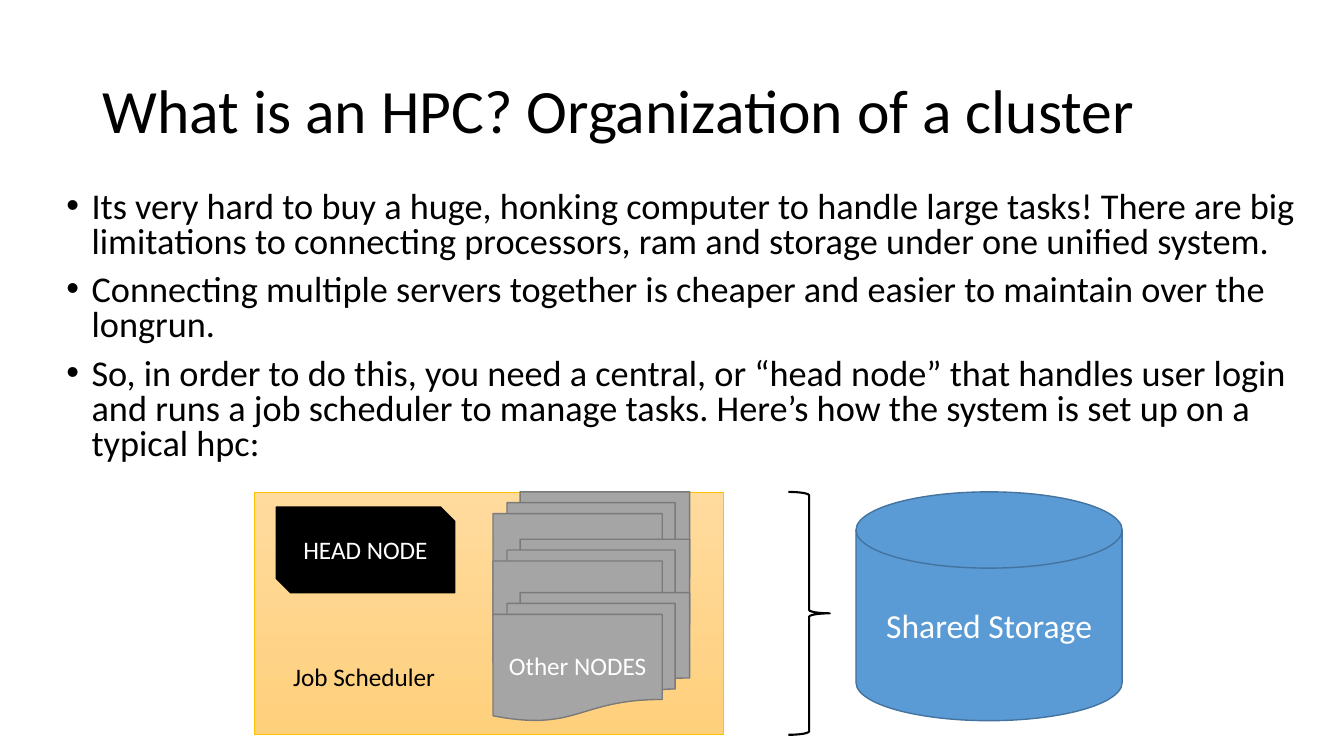
from dataclasses import dataclass

from lxml.etree import SubElement
from pptx import Presentation
from pptx.dml.color import RGBColor
from pptx.enum.shapes import MSO_SHAPE as Kind
from pptx.enum.text import MSO_ANCHOR as Anchor, PP_ALIGN as Align
from pptx.oxml.ns import qn
from pptx.shapes.autoshape import Shape
from pptx.slide import Slide
from pptx.text.text import TextFrame, _Paragraph as Para
from pptx.util import Emu, Pt

SCALE = 9144  # EMU per px, 100 px to the inch


@dataclass(frozen=True)
class Theme:
    font: str = "Calibri"
    black: str = "000000"
    white: str = "FFFFFF"
    gold: str = "FFC000"
    light: str = "FFDB9E"
    deep: str = "FFD07C"
    grey: str = "A5A5A5"
    edge: str = "7A7A7A"
    blue: str = "5B9BD5"
    navy: str = "43739E"
    title: float = 44
    body: float = 25.9
    large: float = 24
    label: float = 18


THEME = Theme()


@dataclass(frozen=True)
class Box:
    left: int
    top: int
    width: int
    height: int

    def emu(self) -> list[Emu]:
        return [px(n) for n in (self.left, self.top, self.width, self.height)]


@dataclass(frozen=True)
class Part:
    kind: Kind
    box: Box
    fill: tuple[str, ...]  # none, one colour, or two for a gradient
    line: str
    weight: float = 1
    text: str = ""
    size: float = THEME.label


def px(count: int) -> Emu:
    return Emu(count * SCALE)


def tint(code: str) -> RGBColor:
    return RGBColor.from_string(code)


def add_run(para: Para, text: str, size: float, color: str) -> None:
    run = para.add_run()
    run.text = text
    run.font.name = THEME.font
    run.font.size = Pt(size)
    run.font.color.rgb = tint(color)


def add_text(slide: Slide, box: Box, wrap: bool = True) -> TextFrame:
    frame = slide.shapes.add_textbox(*box.emu()).text_frame
    frame.word_wrap = wrap
    return frame


def add_bullet(para: Para) -> None:
    props = para._p.get_or_add_pPr()
    props.set("marL", str(px(25)))
    props.set("indent", str(px(-25)))
    SubElement(props, qn("a:buFont")).set("typeface", "Arial")
    SubElement(props, qn("a:buChar")).set("char", "•")


def paint(shape: Shape, fill: tuple[str, ...]) -> None:
    if not fill:
        shape.fill.background()
    elif len(fill) == 1:
        shape.fill.solid()
        shape.fill.fore_color.rgb = tint(fill[0])
    else:
        shape.fill.gradient()
        shape.fill.gradient_angle = 270
        for stop, code in zip(shape.fill.gradient_stops, fill):
            stop.color.rgb = tint(code)


def add_part(slide: Slide, part: Part) -> None:
    shape = slide.shapes.add_shape(part.kind, *part.box.emu())
    shape.shadow.inherit = False
    paint(shape, part.fill)
    shape.line.color.rgb = tint(part.line)
    shape.line.width = Pt(part.weight)
    if part.text:
        frame = shape.text_frame
        frame.word_wrap = True
        frame.vertical_anchor = Anchor.MIDDLE
        para = frame.paragraphs[0]
        para.alignment = Align.CENTER
        add_run(para, part.text, part.size, THEME.white)


POINTS = (
    "Its very hard to buy a huge, honking computer to handle large tasks! "
    "There are big limitations to connecting processors, ram and storage "
    "under one unified system.",
    "Connecting multiple servers together is cheaper and easier to maintain "
    "over the longrun.",
    "So, in order to do this, you need a central, or “head node” that handles "
    "user login and runs a job scheduler to manage tasks. Here’s how the "
    "system is set up on a typical hpc:",
)

NODES = ((488, ""), (535, ""), (588, "Other NODES"))

PARTS = (
    Part(Kind.RECTANGLE, Box(252, 488, 465, 241),
         (THEME.light, THEME.deep), THEME.gold, 0.5),
    Part(Kind.SNIP_2_DIAG_RECTANGLE, Box(274, 503, 177, 85),
         (THEME.black,), THEME.black, text="HEAD NODE"),
    *(Part(Kind.FLOWCHART_MULTIDOCUMENT, Box(489, top, 195, 127),
           (THEME.grey,), THEME.edge, text=text) for top, text in NODES),
    Part(Kind.FLOWCHART_MAGNETIC_DISK, Box(849, 488, 264, 227),
         (THEME.blue,), THEME.navy, text="Shared Storage", size=THEME.large),
    Part(Kind.RIGHT_BRACE, Box(782, 488, 41, 241), (), THEME.black, 1.5),
)


def main() -> None:
    deck = Presentation()
    deck.slide_width, deck.slide_height = px(1333), px(750)
    slide = deck.slides.add_slide(deck.slide_layouts[6])

    # Title
    frame = add_text(slide, Box(92, 40, 1150, 145))
    frame.vertical_anchor = Anchor.MIDDLE
    head = frame.paragraphs[0]
    head.line_spacing = 0.9
    add_run(head, "What is an HPC? Organization of a cluster",
            THEME.title, THEME.black)

    # Bullet points
    frame = add_text(slide, Box(56, 185, 1242, 336))
    for rank, point in enumerate(POINTS):
        para = frame.add_paragraph() if rank else frame.paragraphs[0]
        add_bullet(para)
        para.line_spacing = 0.8
        para.space_before = Pt(10)
        add_run(para, point, THEME.body, THEME.black)

    # Cluster diagram
    for part in PARTS:
        add_part(slide, part)
    frame = add_text(slide, Box(281, 651, 163, 40), wrap=False)
    add_run(frame.paragraphs[0], "Job Scheduler", THEME.label, THEME.black)

    deck.save("out.pptx")


if __name__ == "__main__":
    main()
